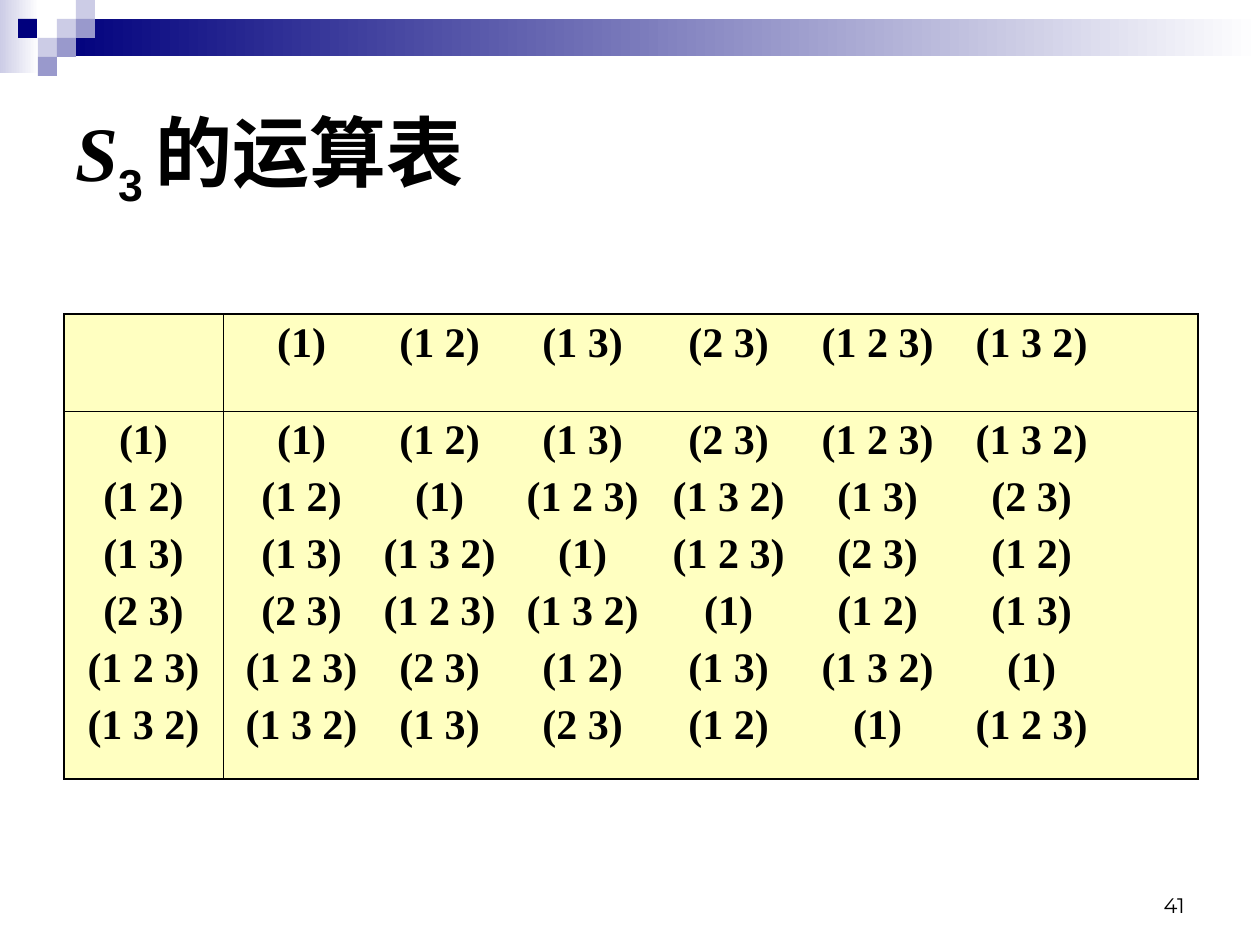
from lxml.etree import SubElement
from pptx import Presentation
from pptx.dml.color import RGBColor
from pptx.enum.shapes import MSO_SHAPE
from pptx.enum.text import MSO_ANCHOR, PP_ALIGN
from pptx.oxml.ns import qn
from pptx.util import Emu, Pt

SCALE = 914400 / 126
UNIT = 19
BLACK = RGBColor(0, 0, 0)
WHITE = RGBColor(0xFF, 0xFF, 0xFF)
NAVY = RGBColor(0x00, 0x00, 0x7D)
LILAC = RGBColor(0xCC, 0xCC, 0xE6)
MAUVE = RGBColor(0x99, 0x99, 0xCC)
CREAM = RGBColor(0xFF, 0xFF, 0xC1)
SERIF = "Times New Roman"
STOPS = [66, 204, 347, 493, 642, 796]
HEADS = ["(1)", "(1 2)", "(1 3)", "(2 3)", "(1 2 3)", "(1 3 2)"]
BODY = [
    HEADS,
    ["(1 2)", "(1)", "(1 2 3)", "(1 3 2)", "(1 3)", "(2 3)"],
    ["(1 3)", "(1 3 2)", "(1)", "(1 2 3)", "(2 3)", "(1 2)"],
    ["(2 3)", "(1 2 3)", "(1 3 2)", "(1)", "(1 2)", "(1 3)"],
    ["(1 2 3)", "(2 3)", "(1 2)", "(1 3)", "(1 3 2)", "(1)"],
    ["(1 3 2)", "(1 3)", "(2 3)", "(1 2)", "(1)", "(1 2 3)"],
]
TILES = [(57, 19, LILAC), (76, 0, LILAC), (76, 19, MAUVE), (38, 38, LILAC),
         (18, 19, NAVY), (57, 38, MAUVE), (38, 57, MAUVE)]


def px(num):
    """Turn pixels into EMU."""
    return Emu(round(num * SCALE))


def style(font, name, size, bold=False):
    """Set the face, size, weight and black colour of a font."""
    font.name, font.size, font.bold = name, Pt(size), bold
    font.color.rgb = BLACK


def add_rect(slide, box, color, fade=False):
    """Draw a plain rectangle, solid or fading to white on the right."""
    shape = slide.shapes.add_shape(MSO_SHAPE.RECTANGLE, *map(px, box))
    shape.shadow.inherit = False
    shape.line.fill.background()
    if fade:
        shape.fill.gradient()
        shape.fill.gradient_angle = 180
        for stop, tone in zip(shape.fill.gradient_stops, (WHITE, color)):
            stop.color.rgb = tone
    else:
        shape.fill.solid()
        shape.fill.fore_color.rgb = color


def add_box(slide, box, anchor):
    """Add a wrapped text box and return its first paragraph."""
    frame = slide.shapes.add_textbox(*map(px, box)).text_frame
    frame.word_wrap = True
    frame.vertical_anchor = anchor
    return frame.paragraphs[0]


def add_title(slide):
    """Write the title with its italic letter and subscript."""
    para = add_box(slide, (63, 63, 1134, 189), MSO_ANCHOR.MIDDLE)
    for text, face in (("S", SERIF), ("3 ", "Arial"), ("的运算表", "Arial")):
        run = para.add_run()
        run.text = text
        style(run.font, face, 44, True)
    sign, sub, _ = para.runs
    sign.font.italic = True
    sub.font._element.set("baseline", "-25000")


def add_tabs(para):
    """Give a paragraph the centred tab stops of the columns."""
    tabs = SubElement(para._p.get_or_add_pPr(), qn("a:tabLst"))
    for stop in STOPS:
        SubElement(tabs, qn("a:tab"), pos=str(px(stop)), algn="ctr")


def set_edges(cell, row, col):
    """Draw heavy outer and fine inner borders around a cell."""
    outer = {"L": col == 0, "R": col == 1, "T": row == 0, "B": row == 1}
    props = cell._tc.get_or_add_tcPr()
    for side, heavy in outer.items():
        width = Pt(1.08 if heavy else 0.45)
        line = SubElement(props, qn(f"a:ln{side}"), w=str(width))
        fill = SubElement(line, qn("a:solidFill"))
        SubElement(fill, qn("a:srgbClr"), val=str(BLACK))


def fill_cell(cell, lines, tabbed):
    """Write lines into a cell, on tab stops or centred."""
    cell.text = "\n".join(lines)
    for i, para in enumerate(cell.text_frame.paragraphs):
        if tabbed:
            add_tabs(para)
        else:
            para.alignment = PP_ALIGN.CENTER
        if i:
            para.space_before = Pt(6)
        style(para.font, SERIF, 24, True)


def add_grid(slide):
    """Build the operation table."""
    table = slide.shapes.add_table(2, 2, *map(px, (64, 314, 1134, 465))).table
    table.first_row = table.horz_banding = False
    for col, wide in zip(table.columns, (159, 975)):
        col.width = px(wide)
    for row, high in zip(table.rows, (97, 368)):
        row.height = px(high)
    join = ["".join("\t" + item for item in line) for line in BODY]
    texts = [[[], join[:1]], [HEADS, join]]
    for row, pair in enumerate(texts):
        for col, lines in enumerate(pair):
            cell = table.cell(row, col)
            set_edges(cell, row, col)
            cell.fill.solid()
            cell.fill.fore_color.rgb = CREAM
            fill_cell(cell, lines, col == 1)


def add_page(slide):
    """Write the page number."""
    para = add_box(slide, (903, 861, 294, 63), MSO_ANCHOR.BOTTOM)
    para.text = "41"
    para.alignment = PP_ALIGN.RIGHT
    style(para.font, "Montserrat", 12)


def main():
    """Build and save the slide."""
    deck = Presentation()
    deck.slide_width, deck.slide_height = px(1260), px(945)
    slide = deck.slides.add_slide(deck.slide_layouts[6])
    add_rect(slide, (0, 0, 39, 73), LILAC, True)
    add_rect(slide, (57, 19, 1203, 37), NAVY, True)
    for left, top, color in TILES:
        add_rect(slide, (left, top, UNIT, UNIT), color)
    add_title(slide)
    add_grid(slide)
    add_page(slide)
    deck.save("out.pptx")


if __name__ == "__main__":
    main()
